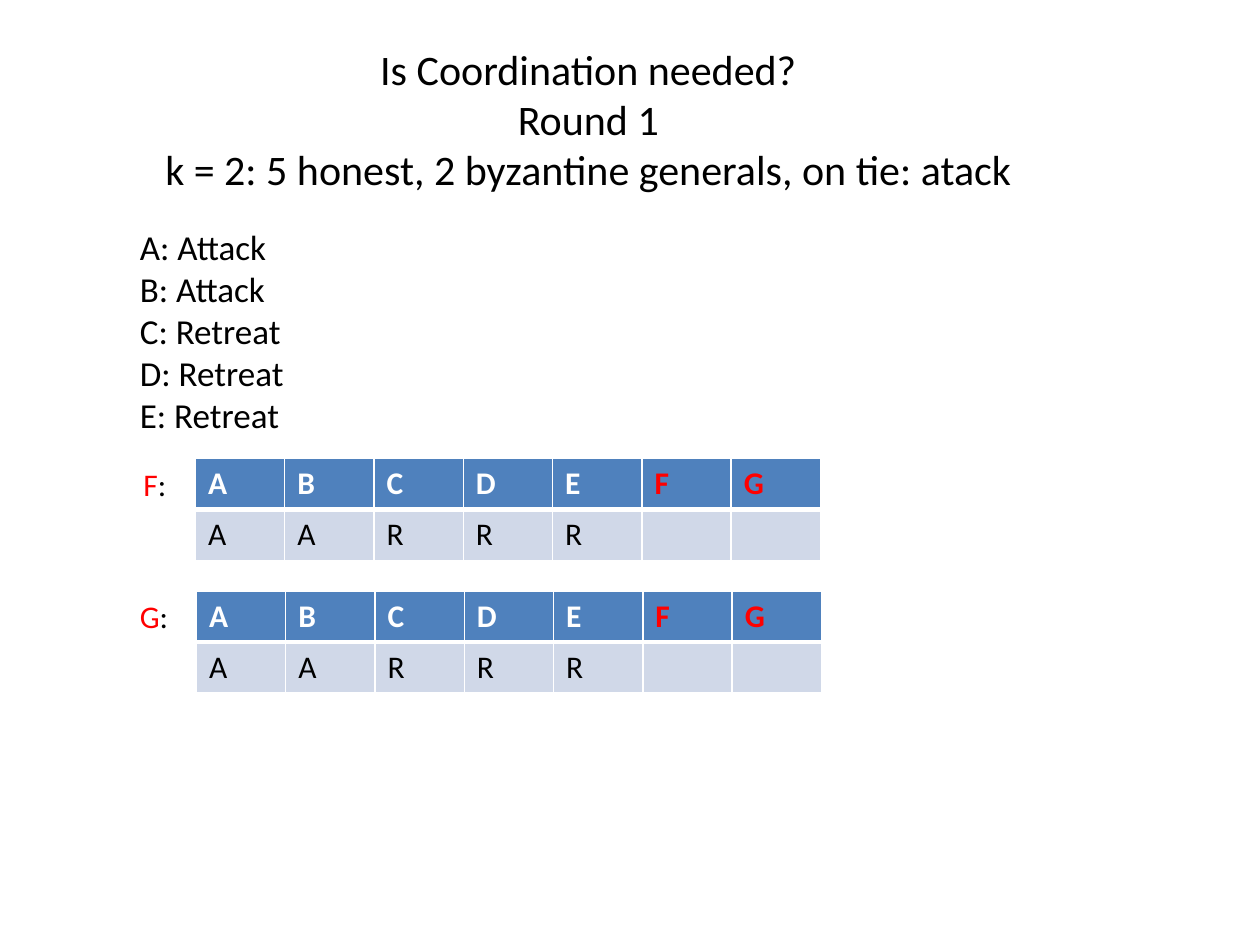
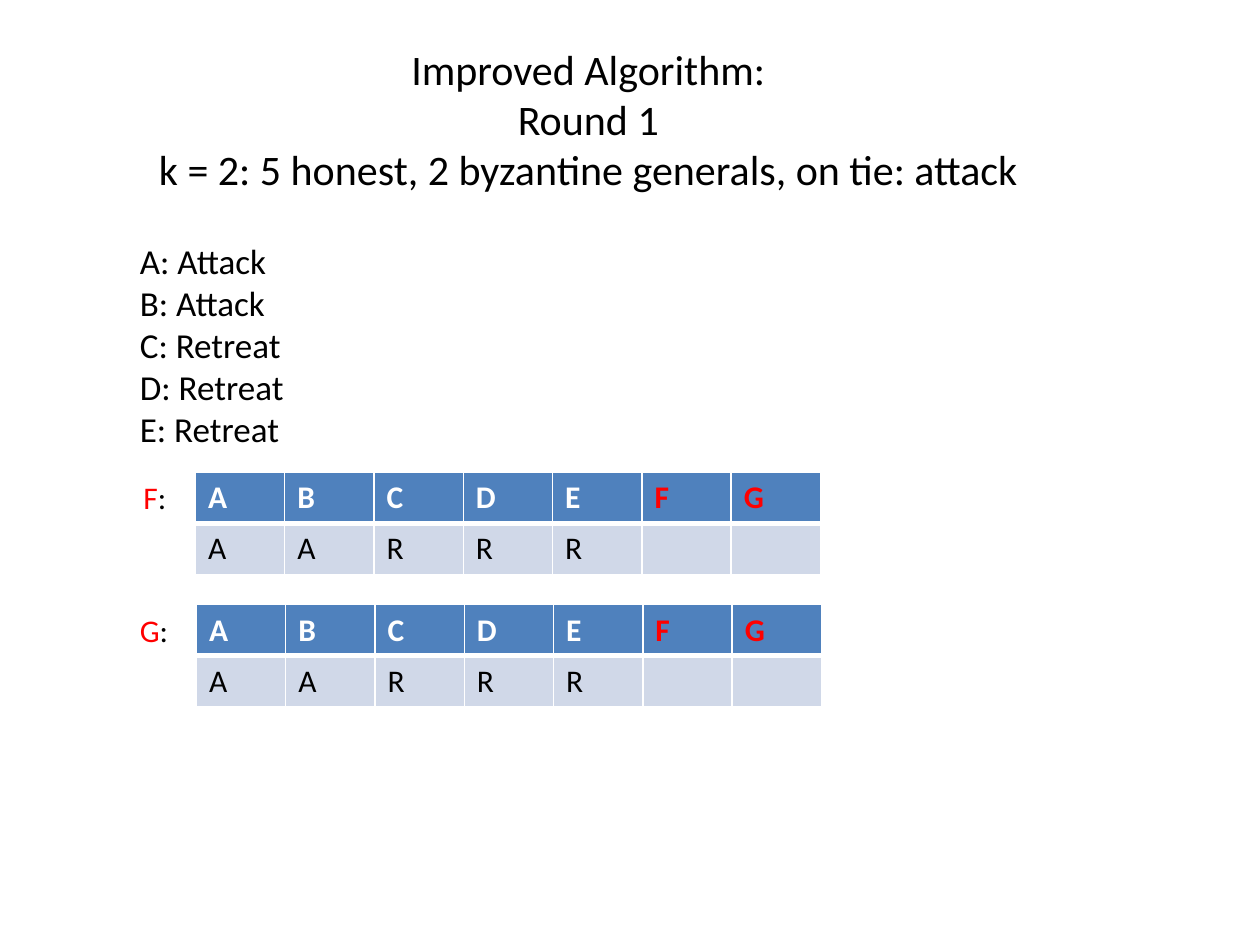
from dataclasses import dataclass

from lxml.etree import SubElement
from pptx import Presentation
from pptx.dml.color import RGBColor
from pptx.enum.text import MSO_ANCHOR as Anchor, MSO_AUTO_SIZE as AutoSize, PP_ALIGN as Align
from pptx.oxml.ns import qn
from pptx.util import Cm, Pt


@dataclass(frozen=True)
class Theme:
    font: str = "Calibri"
    text: str = "000000"
    traitor: str = "FF0000"
    header_text: str = "FFFFFF"
    header_fill: str = "4F81BD"
    body_fill: str = "D0D8E8"
    border: str = "FFFFFF"
    title_size: int = 24
    list_size: int = 20
    table_size: int = 18
    thin_border: int = 1
    thick_border: int = 3


@dataclass(frozen=True)
class Box:
    left: float
    top: float
    width: float
    height: float


@dataclass(frozen=True)
class Ballot:
    general: str
    label_left: float
    label_width: float
    table_left: float


@dataclass(frozen=True)
class RoundSlide:
    title: tuple[str, ...]
    list_top: float


THEME = Theme()
TITLE_BOX = Box(2.03, 0.74, 19.66, 3.33)
LIST_LEFT, LIST_WIDTH, LIST_HEIGHT = 2.57, 9.8, 4.52
LABEL_HEIGHT = 1.02
LIST_TO_TABLE, TABLE_PITCH = 4.82, 2.67
COLUMN_WIDTH, ROW_HEIGHT = 1.8, 1.03

VOTES = {"A": "Attack", "B": "Attack", "C": "Retreat", "D": "Retreat", "E": "Retreat"}
BALLOTS = (Ballot("F", 2.64, 0.99, 3.94), Ballot("G", 2.57, 1.19, 3.96))
TRAITORS = [ballot.general for ballot in BALLOTS]
SLIDES = (
    RoundSlide(("Is Coordination needed?", "Round 1",
                "k = 2: 5 honest, 2 byzantine generals, on tie: atack"), 4.42),
    RoundSlide(("Improved Algorithm:", "Round 1",
                "k = 2: 5 honest, 2 byzantine generals, on tie: attack"), 4.7),
)


def add_run(paragraph, text: str, size: int, color: str = THEME.text, bold: bool = False) -> None:
    run = paragraph.add_run()
    run.text = text
    run.font.name = THEME.font
    run.font.size = Pt(size)
    run.font.bold = bold
    run.font.color.rgb = RGBColor.from_string(color)


def add_lines(frame, lines, size: int, alignment) -> None:
    for index, line in enumerate(lines):
        paragraph = frame.add_paragraph() if index else frame.paragraphs[0]
        paragraph.alignment = alignment
        add_run(paragraph, line, size)


def add_text_box(slide, box: Box, wrap: bool):
    shape = slide.shapes.add_textbox(Cm(box.left), Cm(box.top), Cm(box.width), Cm(box.height))
    frame = shape.text_frame
    frame.word_wrap = wrap
    frame.auto_size = AutoSize.SHAPE_TO_FIT_TEXT
    return frame


def set_title(slide, lines: tuple[str, ...]) -> None:
    shape = slide.shapes.title
    shape.left, shape.top = Cm(TITLE_BOX.left), Cm(TITLE_BOX.top)
    shape.width, shape.height = Cm(TITLE_BOX.width), Cm(TITLE_BOX.height)
    frame = shape.text_frame
    frame.word_wrap = True
    frame.auto_size = AutoSize.SHAPE_TO_FIT_TEXT
    frame.vertical_anchor = Anchor.TOP
    add_lines(frame, lines, THEME.title_size, Align.CENTER)


def style_cell(cell, fill: str, top: int, bottom: int) -> None:
    properties = cell._tc.get_or_add_tcPr()
    widths = {"L": THEME.thin_border, "R": THEME.thin_border, "T": top, "B": bottom}
    for side, width in widths.items():
        line = SubElement(properties, qn(f"a:ln{side}"), w=str(Pt(width)))
        line_fill = SubElement(line, qn("a:solidFill"))
        SubElement(line_fill, qn("a:srgbClr"), val=THEME.border)
    cell.fill.solid()
    cell.fill.fore_color.rgb = RGBColor.from_string(fill)


def add_vote_table(slide, left: float, top: float) -> None:
    generals = [*VOTES, *TRAITORS]
    table = slide.shapes.add_table(
        2, len(generals), Cm(left), Cm(top),
        Cm(COLUMN_WIDTH * len(generals)), Cm(2 * ROW_HEIGHT)).table
    for row in table.rows:
        row.height = Cm(ROW_HEIGHT)
    for index, general in enumerate(generals):
        table.columns[index].width = Cm(COLUMN_WIDTH)
        header, body = table.cell(0, index), table.cell(1, index)
        style_cell(header, THEME.header_fill, THEME.thin_border, THEME.thick_border)
        style_cell(body, THEME.body_fill, THEME.thick_border, THEME.thin_border)
        color = THEME.traitor if general in TRAITORS else THEME.header_text
        add_run(header.text_frame.paragraphs[0], general, THEME.table_size, color, bold=True)
        if general in VOTES:
            add_run(body.text_frame.paragraphs[0], VOTES[general][0], THEME.table_size)


def add_ballot(slide, ballot: Ballot, top: float) -> None:
    add_vote_table(slide, ballot.table_left, top)
    box = Box(ballot.label_left, top, ballot.label_width, LABEL_HEIGHT)
    paragraph = add_text_box(slide, box, wrap=False).paragraphs[0]
    add_run(paragraph, ballot.general, THEME.table_size, THEME.traitor)
    add_run(paragraph, ":", THEME.table_size)


def add_round_slide(presentation, content: RoundSlide) -> None:
    slide = presentation.slides.add_slide(presentation.slide_layouts.get_by_name("Title Only"))
    set_title(slide, content.title)
    box = Box(LIST_LEFT, content.list_top, LIST_WIDTH, LIST_HEIGHT)
    lines = [f"{general}: {vote}" for general, vote in VOTES.items()]
    add_lines(add_text_box(slide, box, wrap=True), lines, THEME.list_size, Align.LEFT)
    for index, ballot in enumerate(BALLOTS):
        add_ballot(slide, ballot, content.list_top + LIST_TO_TABLE + index * TABLE_PITCH)


def main() -> None:
    presentation = Presentation()
    presentation.slide_width, presentation.slide_height = Cm(25.4), Cm(19.05)
    for content in SLIDES:
        add_round_slide(presentation, content)
    presentation.save("out.pptx")


main()
